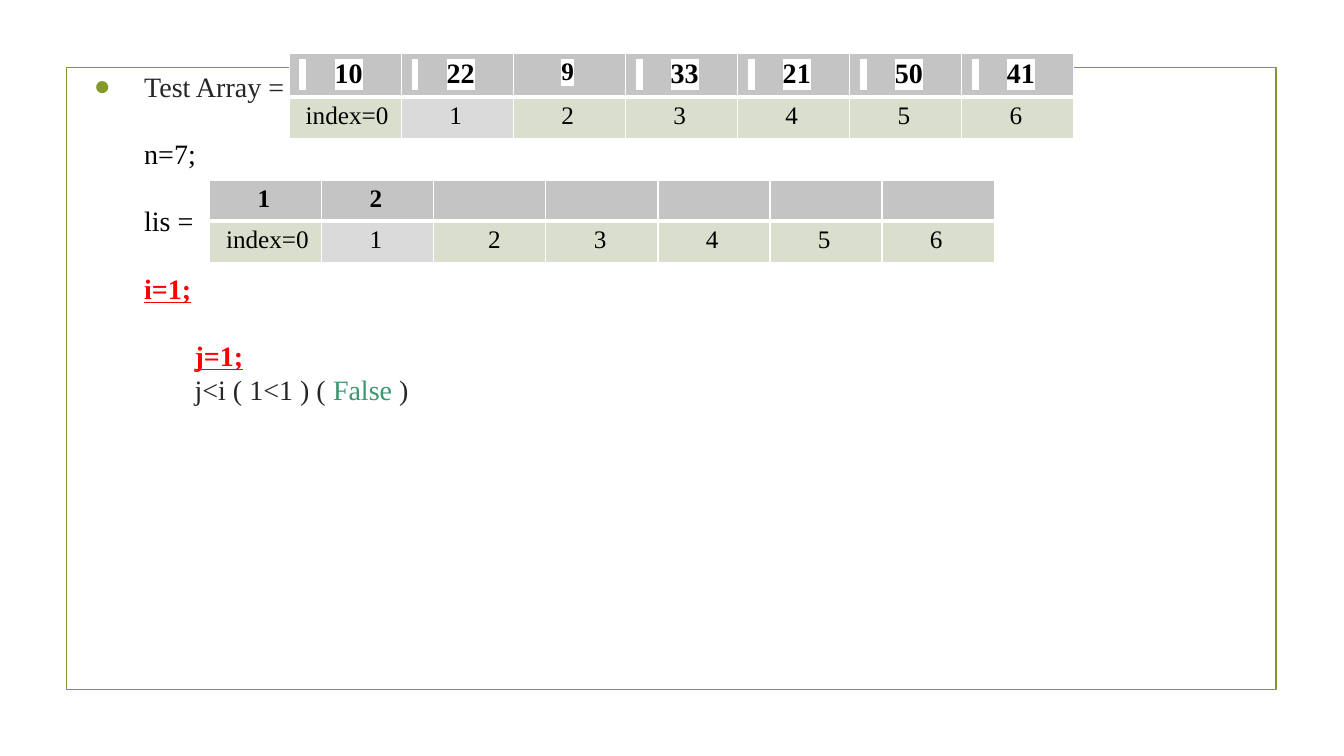
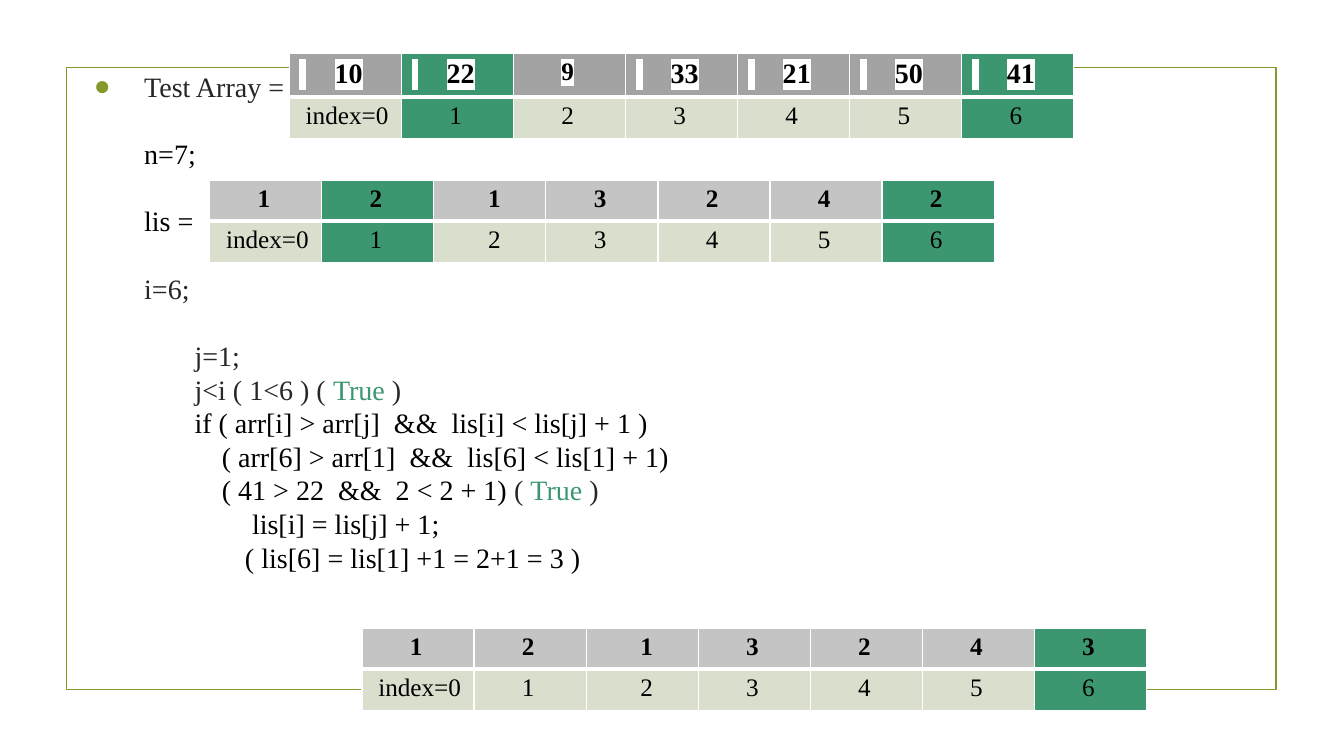
from lxml.etree import SubElement
from pptx import Presentation
from pptx.dml.color import RGBColor
from pptx.enum.shapes import MSO_SHAPE
from pptx.oxml.ns import qn
from pptx.util import Inches, Pt

FONT = "Times New Roman"
COLORS = {
    "frame": "83992A", "dark": "262626", "black": "000000", "red": "FF0000",
    "green": "3C9770", "white": "FFFFFF", "silver": "C4C4C4",
    "gray": "A3A3A3", "sage": "D9DECD", "pale": "DADADA",
}

# Layout, in inches unless noted
SLIDE_W, SLIDE_H = 13.33, 7.5
FRAME = (0.66, 0.67, 12, 6.17)
BODY = (0.63, 0.56, 11.69, 6.54)
BODY_INSET = 0.13
LINE_PT = 24
INDENTS = {"main": 0.67, "loop": 1.17, "check": 1.44, "result": 1.67, "assign": 1.74}
HANGING = 0.5
CELL_W = 7.78 / 7
CELL_INSET = 0.1
SPACE = 0.0625  # width of a space at 18 pt
ARRAY_AT, LIS_AT, UPDATED_AT = (2.87, 0.53), (2.08, 1.79), (3.59, 6.23)
ARRAY_ROWS, LIS_ROWS = (0.41, 0.41), (0.39, 0.41)

# Content: each line is (indent, gap above in lines, [(text, colour), ...])
TEST_ARRAY = ["10", "22", "9", "33", "21", "50", "41"]
INDEXES = ["index=0", "1", "2", "3", "4", "5", "6"]
INTRO = [
    ("main", 0, [("Test Array =", "dark")]),
    ("main", 1, [("n=7;", "black")]),
    ("main", 1, [("lis =", "black")]),
]

STEPS = [
    {
        "lines": [
            ("main", 1, [("i=1;", "red")]),
            ("loop", 1, [("j=1;", "red")]),
            ("loop", 0, [("j<i ( 1<1 ) ( ", "dark"), ("False", "green"), (" )", "dark")]),
        ],
        "array_fill": "silver",
        "marked": {(1, 1): "pale"},
        "lis": ["1", "2", "", "", "", "", ""],
    },
    {
        "lines": [
            ("main", 1, [("i=6;", "dark")]),
            ("loop", 1, [("j=1;", "dark")]),
            ("loop", 0, [("j<i ( 1<6 ) ( ", "dark"), ("True", "green"), (" )", "dark")]),
            ("loop", 0, [("if ( arr[i] > arr[j]  &&  lis[i] < lis[j] + 1 )", "black")]),
            ("check", 0, [("( arr[6] > arr[1]  &&  lis[6] < lis[1] + 1)", "black")]),
            ("check", 0, [("( 41 > 22  &&  2 < 2 + 1) ", "black"), ("( ", "dark"),
                          ("True", "green"), (" )", "dark")]),
            ("assign", 0, [("lis[i] = lis[j] + 1;", "black")]),
            ("result", 0, [("( lis[6] = lis[1] +1 = 2+1 = 3 )", "black")]),
        ],
        "array_fill": "gray",
        "marked": {(row, col): "green" for row in (0, 1) for col in (1, 6)},
        "lis": ["1", "2", "1", "3", "2", "4", "2"],
        "updated": ["1", "2", "1", "3", "2", "4", "3"],
        "updated_marked": {(row, 6): "green" for row in (0, 1)},
    },
]


def rgb(name):
    return RGBColor.from_string(COLORS[name])


def inches(values):
    return [Inches(value) for value in values]


def add_run(paragraph, text, color="black", size=20, bold=False, highlight=False):
    run = paragraph.add_run()
    run.text = text
    run.font.size, run.font.bold = Pt(size), bold
    run.font.color.rgb = rgb(color)
    if highlight:
        mark = SubElement(run._r.get_or_add_rPr(), qn("a:highlight"))
        SubElement(mark, qn("a:srgbClr"), val=COLORS["white"])
    run.font.name = FONT
    return run


def add_frame(slide):
    frame = slide.shapes.add_shape(MSO_SHAPE.RECTANGLE, *inches(FRAME))
    frame.shadow.inherit = False
    frame.fill.background()
    frame.line.color.rgb = rgb("frame")
    frame.line.width = Pt(1.25)


def add_bullet(properties):
    color = SubElement(properties, qn("a:buClr"))
    SubElement(color, qn("a:srgbClr"), val=COLORS["frame"])
    SubElement(properties, qn("a:buFont"), typeface="Arial")
    SubElement(properties, qn("a:buChar"), char="●")


def add_trace(slide, lines):
    body = slide.shapes.add_textbox(*inches(BODY)).text_frame
    body.word_wrap = True
    body.margin_left = body.margin_right = Inches(BODY_INSET)
    body.margin_top = body.margin_bottom = Inches(BODY_INSET)
    for number, (indent, gap, parts) in enumerate(lines):
        line = body.add_paragraph() if number else body.paragraphs[0]
        line.line_spacing = Pt(LINE_PT)
        line.space_before = Pt(gap * LINE_PT)
        properties = line._p.get_or_add_pPr()
        properties.set("marL", str(Inches(INDENTS[indent])))
        if number == 0:
            properties.set("indent", str(-Inches(HANGING)))
            add_bullet(properties)
        for text, color in parts:
            run = add_run(line, text, color, bold=color == "red")
            run.font.underline = color == "red"


def set_borders(cell, bottom):
    properties = cell._tc.get_or_add_tcPr()
    for position, (side, width) in enumerate(
            [("lnL", 1), ("lnR", 1), ("lnT", 1), ("lnB", bottom)]):
        border = SubElement(properties, qn("a:" + side), w=str(Pt(width)))
        fill = SubElement(border, qn("a:solidFill"))
        SubElement(fill, qn("a:srgbClr"), val=COLORS["white"])
        properties.insert(position, border)


def add_array(slide, at, heights, values, top_fill, marked, is_input=False):
    table = slide.shapes.add_table(
        2, len(values), *inches((*at, CELL_W * len(values), sum(heights)))).table
    table.first_row = table.horz_banding = False
    for column in table.columns:
        column.width = Inches(CELL_W)
    for row, (texts, fill) in enumerate([(values, top_fill), (INDEXES, "sage")]):
        table.rows[row].height = Inches(heights[row])
        for col, text in enumerate(texts):
            cell = table.cell(row, col)
            cell.fill.solid()
            cell.fill.fore_color.rgb = rgb(marked.get((row, col), fill))
            set_borders(cell, 1 if row else 3)
            paragraph = cell.text_frame.paragraphs[0]
            highlight = is_input and row == 0
            wide = highlight and len(text) > 1
            spaces = 1 if text == INDEXES[0] else 6
            if col == 2 and not is_input:
                spaces += 1
            cell.margin_left = Inches(CELL_INSET + (0 if wide else spaces * SPACE))
            cell.margin_right = 0
            if wide:  # one stretched space widens the white band
                band = add_run(paragraph, " ", bold=True, highlight=True)
                band._r.get_or_add_rPr().set("spc", "2000")
            if text:
                add_run(paragraph, text, size=20 if wide else 18,
                        bold=row == 0, highlight=highlight)


def main():
    deck = Presentation()
    deck.slide_width, deck.slide_height = inches((SLIDE_W, SLIDE_H))
    for step in STEPS:
        slide = deck.slides.add_slide(deck.slide_layouts[6])
        add_frame(slide)
        add_trace(slide, INTRO + step["lines"])
        add_array(slide, ARRAY_AT, ARRAY_ROWS, TEST_ARRAY,
                  step["array_fill"], step["marked"], is_input=True)
        add_array(slide, LIS_AT, LIS_ROWS, step["lis"], "silver", step["marked"])
        if "updated" in step:
            add_array(slide, UPDATED_AT, ARRAY_ROWS, step["updated"],
                      "silver", step["updated_marked"])
    deck.save("out.pptx")


if __name__ == "__main__":
    main()
